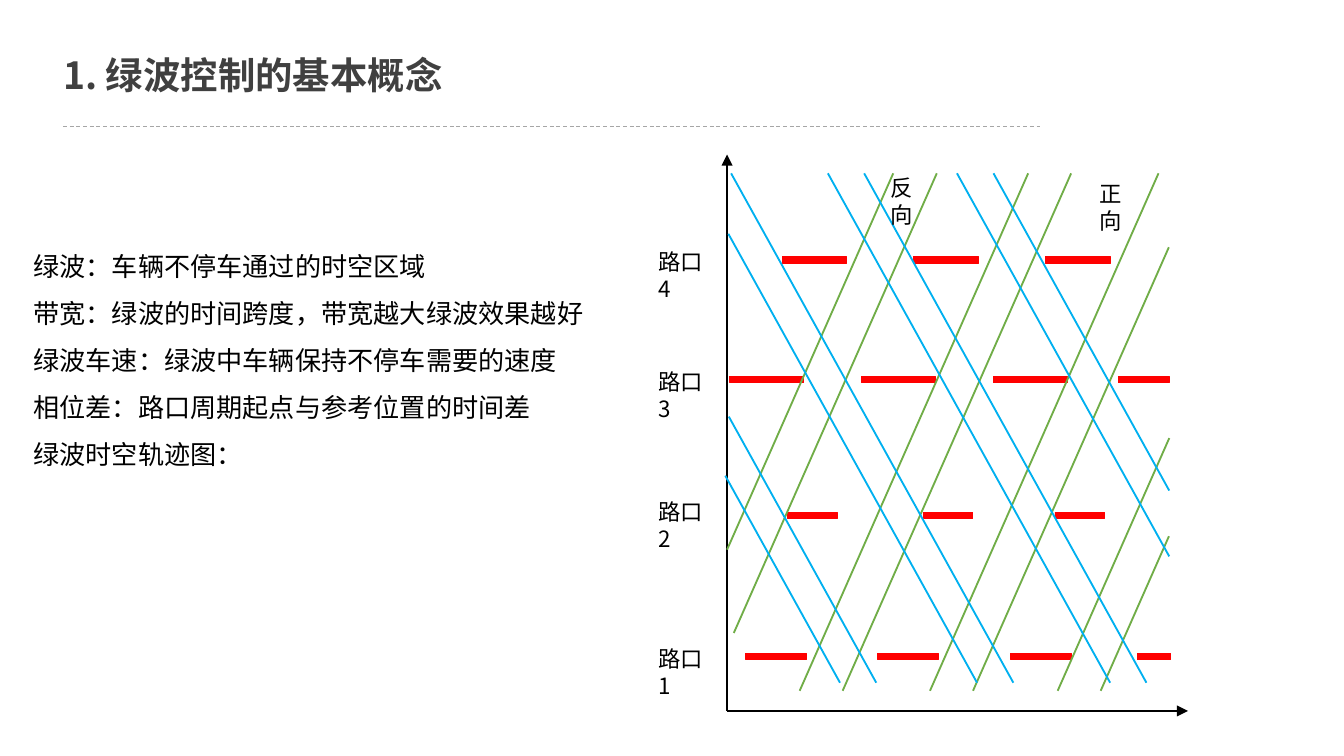
from dataclasses import dataclass

from lxml.etree import SubElement
from pptx import Presentation
from pptx.dml.color import RGBColor
from pptx.enum.dml import MSO_LINE
from pptx.enum.shapes import MSO_CONNECTOR, MSO_SHAPE
from pptx.enum.text import MSO_ANCHOR
from pptx.oxml.ns import qn
from pptx.util import Inches, Pt


@dataclass(frozen=True)
class Theme:
    font: str = "Noto Sans CJK SC"
    head: str = "404040"
    ink: str = "000000"
    rule: str = "A6A6A6"
    red: str = "FF0000"
    green: str = "70AD47"
    blue: str = "00B0F0"
    title: int = 20
    body: int = 14
    label: int = 12


class Painter:
    def __init__(self, slide, theme):
        self.slide = slide
        self.theme = theme

    def text(self, lines, x, y, w, h, size, color=None, bold=False, space=None):
        box = self.slide.shapes.add_textbox(Inches(x), Inches(y), Inches(w), Inches(h))
        frame = box.text_frame
        frame.word_wrap = True
        frame.text = "\n".join(lines)
        for para in frame.paragraphs:
            font = para.font
            font.size, font.bold, font.name = Pt(size), bold, self.theme.font
            font.color.rgb = RGBColor.from_string(color or self.theme.ink)
            if space:
                para.line_spacing = space
            # East Asian glyphs need their own typeface entry
            props = para._p.find(qn("a:pPr")).find(qn("a:defRPr"))
            SubElement(props, qn("a:ea")).set("typeface", self.theme.font)
        return frame

    def line(self, start, end, color, width=1, dash=None, arrow=False):
        line = self.slide.shapes.add_connector(
            MSO_CONNECTOR.STRAIGHT, *(Inches(v) for v in (*start, *end)))
        line.line.color.rgb = RGBColor.from_string(color)
        line.line.width = Pt(width)
        if dash:
            line.line.dash_style = dash
        if arrow:
            SubElement(line.line._get_or_add_ln(), qn("a:tailEnd")).set("type", "triangle")
        SubElement(line._element.spPr, qn("a:effectLst"))

    def bar(self, x, y, w, h=0.05):
        bar = self.slide.shapes.add_shape(
            MSO_SHAPE.RECTANGLE, Inches(x), Inches(y), Inches(w), Inches(h))
        bar.shadow.inherit = False
        red = RGBColor.from_string(self.theme.red)
        bar.fill.solid()
        bar.fill.fore_color.rgb = red
        bar.line.color.rgb = red
        bar.line.width = Pt(0.5)

    def waves(self, paths, slope, color):
        """Draw parallel lines from a low point (x, y) up to a top edge."""
        for x, y, top in paths:
            self.line((x, y), (x + (y - top) / slope, top), color)


def main():
    deck = Presentation()
    deck.slide_width = Inches(10)
    deck.slide_height = Inches(10) * 9 // 16
    theme = Theme()
    art = Painter(deck.slides.add_slide(deck.slide_layouts[6]), theme)

    # Title and rule
    art.line((0.47, 0.94), (7.74, 0.94), theme.rule, 0.5, MSO_LINE.DASH)
    frame = art.text(["1. 绿波控制的基本概念"], 0.47, 0.38, 7.48, 0.35,
                     theme.title, theme.head, bold=True)
    frame.margin_left = frame.margin_right = frame.margin_top = frame.margin_bottom = 0
    frame.vertical_anchor = MSO_ANCHOR.MIDDLE

    # Terms
    art.text(["绿波：车辆不停车通过的时空区域",
              "带宽：绿波的时间跨度，带宽越大绿波效果越好",
              "绿波车速：绿波中车辆保持不停车需要的速度",
              "相位差：路口周期起点与参考位置的时间差",
              "绿波时空轨迹图："],
             0.15, 1.7, 4.38, 1.87, theme.body, space=1.5)

    # Axes
    base = (5.41, 5.29)
    for end in ((8.84, 5.29), (5.41, 1.15)):
        art.line(base, end, theme.ink, arrow=True)

    # Red phases: name, label top, bar top, width, left edges
    rows = [
        ("路口1", 4.75, 4.86, 0.45, (5.55, 6.53, 7.52)),
        ("路口2", 3.66, 3.81, 0.37, (5.86, 6.87, 7.85)),
        ("路口3", 2.69, 2.8, 0.55, (5.43, 6.41, 7.39)),
        ("路口4", 1.8, 1.91, 0.48, (5.82, 6.8, 7.78)),
    ]
    for name, head, y, width, lefts in rows:
        for x in lefts:
            art.bar(x, y, width)
        art.text([name], 4.8, head, 0.6, 0.28, theme.label)
    art.bar(8.46, 4.86, 0.25)
    art.bar(8.32, 2.8, 0.38)

    # Green bands run forward, blue bands run back
    top, low, deep = 1.29, 5.08, 5.14
    art.waves([(5.41, 4.09, top), (5.46, 4.71, top),
               (5.95, deep, top), (6.27, deep, top),
               (6.92, deep, top), (7.24, deep, 1.84),
               (7.87, deep, 3.26), (8.19, deep, 3.99)],
              3.85 / 1.7, theme.green)
    art.waves([(6.25, low, 3.54), (6.52, low, 3.1),
               (7.27, low, 1.74), (7.54, low, top),
               (8.26, low, top), (8.53, low, top),
               (8.7, 4.14, top), (8.7, 3.65, top)],
              -3.79 / 2.1, theme.blue)

    # Direction labels
    art.text(["反向"], 6.53, 1.25, 0.5, 0.48, theme.label)
    art.text(["正向"], 8.08, 1.29, 0.5, 0.48, theme.label)

    deck.save("out.pptx")


if __name__ == "__main__":
    main()
